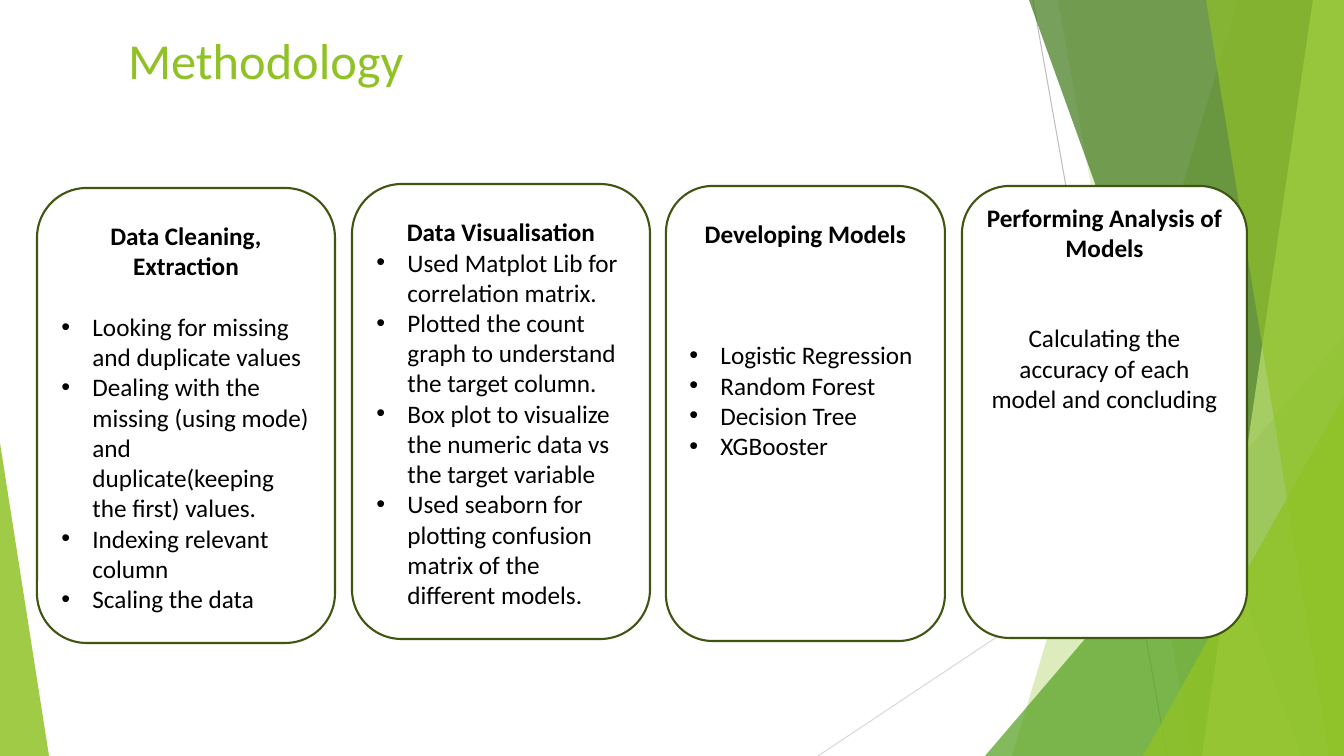
"""Build the Methodology slide: four step cards over a faceted green backdrop."""
from dataclasses import dataclass

from lxml import etree
from pptx import Presentation
from pptx import util as u
from pptx.dml.color import RGBColor
from pptx.enum import shapes, text
from pptx.oxml.ns import qn

WIDTH, HEIGHT = 1344, 756
SCALE = 12192000 / WIDTH
FONT = "Calibri"
GREEN, BLACK, WHITE, OUTLINE = "90C226", "000000", "FFFFFF", "3F5511"
LINE_PT = 21.6
BULLET_INDENT = 31


@dataclass
class Ray:
    x1: int
    y1: int
    x2: int
    y2: int
    colour: str


@dataclass
class Band:
    top_x: int
    bottom_x: int
    colour: str
    alpha: int


@dataclass
class Wedge:
    x: int
    y: int
    w: int
    h: int
    apex: float
    colour: str
    alpha: int


@dataclass
class Card:
    x: int
    y: int
    w: int
    h: int
    top_inset: int
    heading: str
    gap_lines: int
    body: list[str]
    bulleted: bool = True


RAYS = [Ray(1033, 0, 1167, 756, "BFBFBF"), Ray(1344, 406, 818, 756, "D9D9D9")]
FACETS = [
    Band(1238, 1012, GREEN, 30),
    Band(1058, 1192, GREEN, 20),
    Wedge(985, 336, 359, 420, 1.0, "54A021", 72),
    Band(1029, 1301, "3F7819", 70),
    Band(1313, 1202, "C0E474", 70),
    Band(1206, 1329, GREEN, 65),
    Wedge(1143, 396, 201, 360, 1.0, GREEN, 80),
    Wedge(0, 443, 49, 313, 0.0, GREEN, 85),
]
CARDS = [
    Card(37, 188, 298, 455, 18, "Data Cleaning, Extraction", 1, [
        "Looking for missing and duplicate values",
        "Dealing with the missing (using mode) and duplicate(keeping the first) values.",
        "Indexing relevant column",
        "Scaling the data",
    ]),
    Card(352, 184, 298, 455, 18, "Data Visualisation", 0, [
        "Used Matplot Lib for correlation matrix.",
        "Plotted the count graph to understand the target column.",
        "Box plot to visualize the numeric data vs the target variable",
        "Used seaborn for plotting confusion matrix of the different models.",
    ]),
    Card(666, 186, 279, 455, 19, "Developing Models", 3, [
        "Logistic Regression", "Random Forest", "Decision Tree", "XGBooster",
    ]),
    Card(962, 186, 285, 452, 2, "Performing Analysis of Models", 2,
         ["Calculating the accuracy of each model and concluding"], False),
]


def px(n: float) -> int:
    """Turn px into EMU."""
    return round(n * SCALE)


def rgb(colour: str) -> RGBColor:
    """Turn a hex string into a colour."""
    return RGBColor.from_string(colour)


def style_runs(p, size: int, colour: str, bold: bool = False) -> None:
    """Format every run of a paragraph."""
    for r in p.runs:
        r.font.name = FONT
        r.font.size = u.Pt(size)
        r.font.bold = bold
        r.font.color.rgb = rgb(colour)


def add_bullet(p) -> None:
    """Give a paragraph a round bullet with a hanging indent."""
    ppr = p._p.get_or_add_pPr()
    ppr.set("marL", str(px(BULLET_INDENT)))
    ppr.set("indent", str(-px(BULLET_INDENT)))
    etree.SubElement(ppr, qn("a:buFont")).set("typeface", "Arial")
    etree.SubElement(ppr, qn("a:buChar")).set("char", "•")


def draw_ray(s, ray: Ray) -> None:
    """Draw one thin backdrop line."""
    line = s.shapes.add_connector(shapes.MSO_CONNECTOR.STRAIGHT, px(ray.x1),
                                  px(ray.y1), px(ray.x2), px(ray.y2))
    line.line.color.rgb = rgb(ray.colour)
    line.line.width = u.Pt(0.75)
    etree.SubElement(line._element.spPr, qn("a:effectLst"))


def draw_facet(s, facet: Band | Wedge) -> None:
    """Draw one translucent backdrop facet."""
    if isinstance(facet, Band):
        outline = s.shapes.build_freeform(facet.top_x, 0, scale=SCALE)
        outline.add_line_segments(
            [(WIDTH, 0), (WIDTH, HEIGHT), (facet.bottom_x, HEIGHT)], close=True)
        sp = outline.convert_to_shape()
    else:
        sp = s.shapes.add_shape(shapes.MSO_SHAPE.ISOSCELES_TRIANGLE, px(facet.x),
                                px(facet.y), px(facet.w), px(facet.h))
        sp.adjustments[0] = facet.apex
    sp.shadow.inherit = False
    sp.line.fill.background()
    sp.fill.solid()
    sp.fill.fore_color.rgb = rgb(facet.colour)
    tint = sp._element.spPr.find(qn("a:solidFill"))[0]
    etree.SubElement(tint, qn("a:alpha")).set("val", str(facet.alpha * 1000))


def draw_card(s, card: Card) -> None:
    """Draw one step card with its heading and body."""
    sp = s.shapes.add_shape(shapes.MSO_SHAPE.ROUNDED_RECTANGLE, px(card.x),
                            px(card.y), px(card.w), px(card.h))
    sp.shadow.inherit = False
    sp.fill.solid()
    sp.fill.fore_color.rgb = rgb(WHITE)
    sp.line.color.rgb = rgb(OUTLINE)
    sp.line.width = u.Pt(1.5)
    tf = sp.text_frame
    tf.word_wrap = True
    tf.vertical_anchor = text.MSO_ANCHOR.TOP
    tf.margin_top = px(card.top_inset)
    tf.text = "\n".join([card.heading, *card.body])
    for i, p in enumerate(tf.paragraphs):
        is_bullet = card.bulleted and i > 0
        p.alignment = text.PP_ALIGN.LEFT if is_bullet else text.PP_ALIGN.CENTER
        if i == 1:
            p.space_before = u.Pt(card.gap_lines * LINE_PT)
        if is_bullet:
            add_bullet(p)
        style_runs(p, 18, BLACK, bold=i == 0)


def draw_title(s) -> None:
    """Place and format the slide title."""
    title = s.shapes.title
    title.left, title.top, title.width, title.height = map(px, (118, 24, 1109, 132))
    tf = title.text_frame
    tf.text = "Methodology"
    tf.vertical_anchor = text.MSO_ANCHOR.TOP
    p = tf.paragraphs[0]
    p.alignment = text.PP_ALIGN.LEFT
    style_runs(p, 36, GREEN)


def main() -> None:
    """Build and save the slide."""
    prs = Presentation()
    prs.slide_width, prs.slide_height = px(WIDTH), px(HEIGHT)
    s = prs.slides.add_slide(prs.slide_layouts[5])
    for ray in RAYS:
        draw_ray(s, ray)
    for facet in FACETS:
        draw_facet(s, facet)
    draw_title(s)
    for card in CARDS:
        draw_card(s, card)
    prs.save("out.pptx")


if __name__ == "__main__":
    main()
